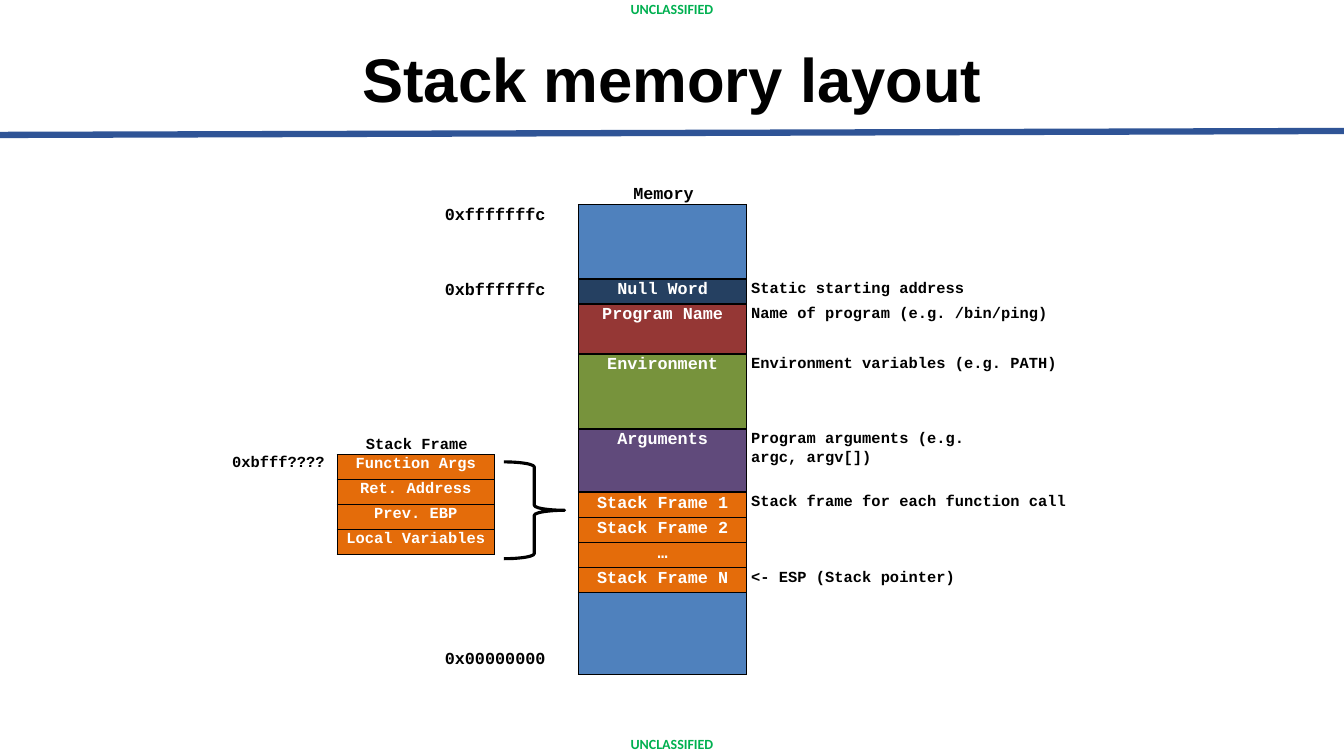
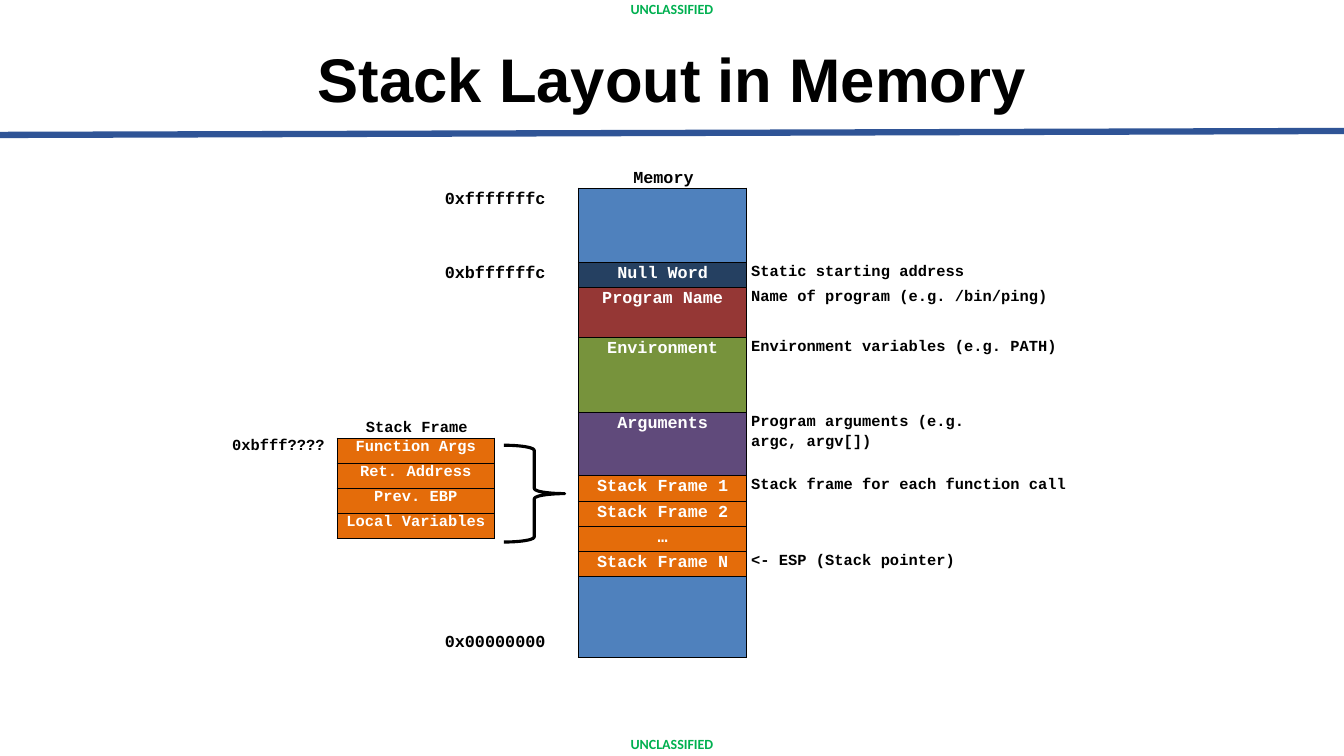
from dataclasses import dataclass

import lxml.etree
import pptx
import pptx.dml.color
import pptx.enum.shapes
import pptx.enum.text
import pptx.oxml.ns
import pptx.util

Cm = pptx.util.Cm
Pt = pptx.util.Pt
qn = pptx.oxml.ns.qn
ALIGN = pptx.enum.text.PP_ALIGN
MIDDLE = pptx.enum.text.MSO_ANCHOR.MIDDLE

WIDTH, HEIGHT = 33.87, 19.05
BLACK, WHITE = "000000", "FFFFFF"
GREEN, RULE_BLUE = "00B050", "2F5496"
FREE, FRAME = "4F81BD", "E46C0A"
TITLE_FONT, MARK_FONT, CODE_FONT = "Arial", "Calibri", "Courier New"
INDENT = 0.03


@dataclass(frozen=True)
class Row:
    text: str
    height: float
    fill: str


@dataclass(frozen=True)
class Stack:
    left: float
    offset: float
    width: float
    size: int
    spacing: float
    rows: tuple[Row, ...]


@dataclass(frozen=True)
class Label:
    left: float
    offset: float
    width: float
    height: float
    size: int
    lines: tuple[str, ...]
    inset: float = 0.03
    first_indent: float = INDENT
    gap: float = 0
    spacing: float = 1.0


MEMORY = Stack(14.58, 0, 4.24, 12, 1.11, (
    Row("", 1.87, FREE),
    Row("Null Word", 0.63, "254061"),
    Row("Program Name", 1.26, "953735"),
    Row("Environment", 1.89, "77933C"),
    Row("Arguments", 1.59, "604A7B"),
    Row("Stack Frame 1", 0.65, FRAME),
    Row("Stack Frame 2", 0.63, FRAME),
    Row("…", 0.63, FRAME),
    Row("Stack Frame N", 0.63, FRAME),
    Row("", 2.05, FREE),
))
STACK_FRAME = Stack(8.5, 6.3, 3.96, 11, 1.04, tuple(
    Row(text, 0.63, FRAME)
    for text in ("Function Args", "Ret. Address", "Prev. EBP", "Local Variables")
))

ADDRESS_X, NOTE_X = 11.18, 18.9
LABELS = (
    Label(ADDRESS_X, -0.58, 6.35, 1.09, 12, ("Memory", "0xfffffffc"),
          first_indent=4.78, gap=0.6),
    Label(ADDRESS_X, 1.83, 2.62, 0.56, 12, ("0xbffffffc",)),
    Label(ADDRESS_X, 11.12, 2.62, 0.56, 12, ("0x00000000",)),
    Label(NOTE_X, 1.64, 7.52, 1.3, 11,
          ("Static starting address", "Name of program (e.g. /bin/ping)"),
          inset=0.2, gap=4.6),
    Label(NOTE_X, 3.71, 7.75, 0.51, 11, ("Environment variables (e.g. PATH)",)),
    Label(NOTE_X, 5.58, 6.4, 0.97, 11, ("Program arguments (e.g. argc, argv[])",),
          spacing=1.04),
    Label(NOTE_X, 7.18, 8, 0.51, 11, ("Stack frame for each function call",)),
    Label(NOTE_X, 9.1, 5.2, 0.51, 11, ("<- ESP (Stack pointer)",)),
    Label(9.19, 5.75, 2.64, 0.51, 11, ("Stack Frame",)),
    Label(5.82, 6.2, 2.42, 0.51, 11, ("0xbfff????",)),
)


def rgb(value: str) -> pptx.dml.color.RGBColor:
    return pptx.dml.color.RGBColor.from_string(value)


def set_font(p, name: str, size: float, color: str) -> None:
    p.font.name = name
    p.font.size = Pt(size)
    p.font.bold = True
    p.font.color.rgb = rgb(color)


def add_heading(s, text: str, left: float, top: float, width: float,
                height: float, font: str, size: int, color: str) -> None:
    sp = s.shapes.add_textbox(Cm(left), Cm(top), Cm(width), Cm(height))
    tf = sp.text_frame
    tf.word_wrap = True
    tf.vertical_anchor = MIDDLE
    p = tf.paragraphs[0]
    p.text = text
    p.alignment = ALIGN.CENTER
    p.line_spacing = 0.9
    set_font(p, font, size, color)


def add_frame(s, title: str) -> None:
    line = s.shapes.add_connector(pptx.enum.shapes.MSO_CONNECTOR.STRAIGHT,
                                  Cm(0), Cm(3.4), Cm(WIDTH), Cm(3.3))
    line.line.color.rgb = rgb(RULE_BLUE)
    line.line.width = Pt(4.5)
    lxml.etree.SubElement(line._element.spPr, qn("a:effectLst"))
    for top in (0.08, 18.62):
        add_heading(s, "UNCLASSIFIED", 0, top, WIDTH, 0.33, MARK_FONT, 10, GREEN)
    add_heading(s, title, 2.34, 0.86, 29.21, 2.46, TITLE_FONT, 44, BLACK)


def add_borders(cell) -> None:
    tc_pr = cell._tc.get_or_add_tcPr()
    for side in ("L", "R", "T", "B"):
        ln = lxml.etree.SubElement(tc_pr, qn(f"a:ln{side}"), w=str(Pt(1)))
        fill = lxml.etree.SubElement(ln, qn("a:solidFill"))
        lxml.etree.SubElement(fill, qn("a:srgbClr"), val=BLACK)


def add_stack(s, stack: Stack, top: float) -> None:
    height = sum(row.height for row in stack.rows)
    table = s.shapes.add_table(len(stack.rows), 1, Cm(stack.left),
                               Cm(top + stack.offset), Cm(stack.width),
                               Cm(height)).table
    table.first_row = False
    table.horz_banding = False
    for i, row in enumerate(stack.rows):
        table.rows[i].height = Cm(row.height)
        cell = table.cell(i, 0)
        cell.margin_left = cell.margin_right = 0
        cell.margin_top = cell.margin_bottom = 0
        add_borders(cell)
        cell.fill.solid()
        cell.fill.fore_color.rgb = rgb(row.fill)
        p = cell.text_frame.paragraphs[0]
        p.text = row.text
        p.alignment = ALIGN.CENTER
        p.line_spacing = stack.spacing
        set_font(p, CODE_FONT, stack.size, WHITE)


def add_label(s, label: Label, top: float) -> None:
    sp = s.shapes.add_textbox(Cm(label.left), Cm(top + label.offset),
                              Cm(label.width), Cm(label.height))
    tf = sp.text_frame
    tf.word_wrap = True
    tf.auto_size = pptx.enum.text.MSO_AUTO_SIZE.SHAPE_TO_FIT_TEXT
    tf.margin_left = tf.margin_right = tf.margin_bottom = 0
    tf.margin_top = Cm(label.inset)
    for i, text in enumerate(label.lines):
        p = tf.add_paragraph() if i else tf.paragraphs[0]
        p.text = text
        indent = INDENT if i else label.first_indent
        p._p.get_or_add_pPr().set("marL", str(Cm(indent)))
        p.line_spacing = label.spacing
        if i:
            p.space_before = Pt(label.gap)
        set_font(p, CODE_FONT, label.size, BLACK)


def add_brace(s, top: float) -> None:
    sp = s.shapes.add_shape(pptx.enum.shapes.MSO_SHAPE.RIGHT_BRACE,
                            Cm(12.7), Cm(top + 6.48), Cm(1.53), Cm(2.44))
    sp.shadow.inherit = False
    sp.fill.background()
    sp.line.color.rgb = rgb(BLACK)
    sp.line.width = Pt(2.25)


def add_memory_slide(prs, title: str, top: float) -> None:
    s = prs.slides.add_slide(prs.slide_layouts[6])
    add_frame(s, title)
    for stack in (MEMORY, STACK_FRAME):
        add_stack(s, stack, top)
    for label in LABELS:
        add_label(s, label, top)
    add_brace(s, top)


def main() -> None:
    prs = pptx.Presentation()
    prs.slide_width = Cm(WIDTH)
    prs.slide_height = Cm(HEIGHT)
    add_memory_slide(prs, "Stack memory layout", 5.16)
    add_memory_slide(prs, "Stack Layout in Memory", 4.74)
    prs.save("out.pptx")


if __name__ == "__main__":
    main()
